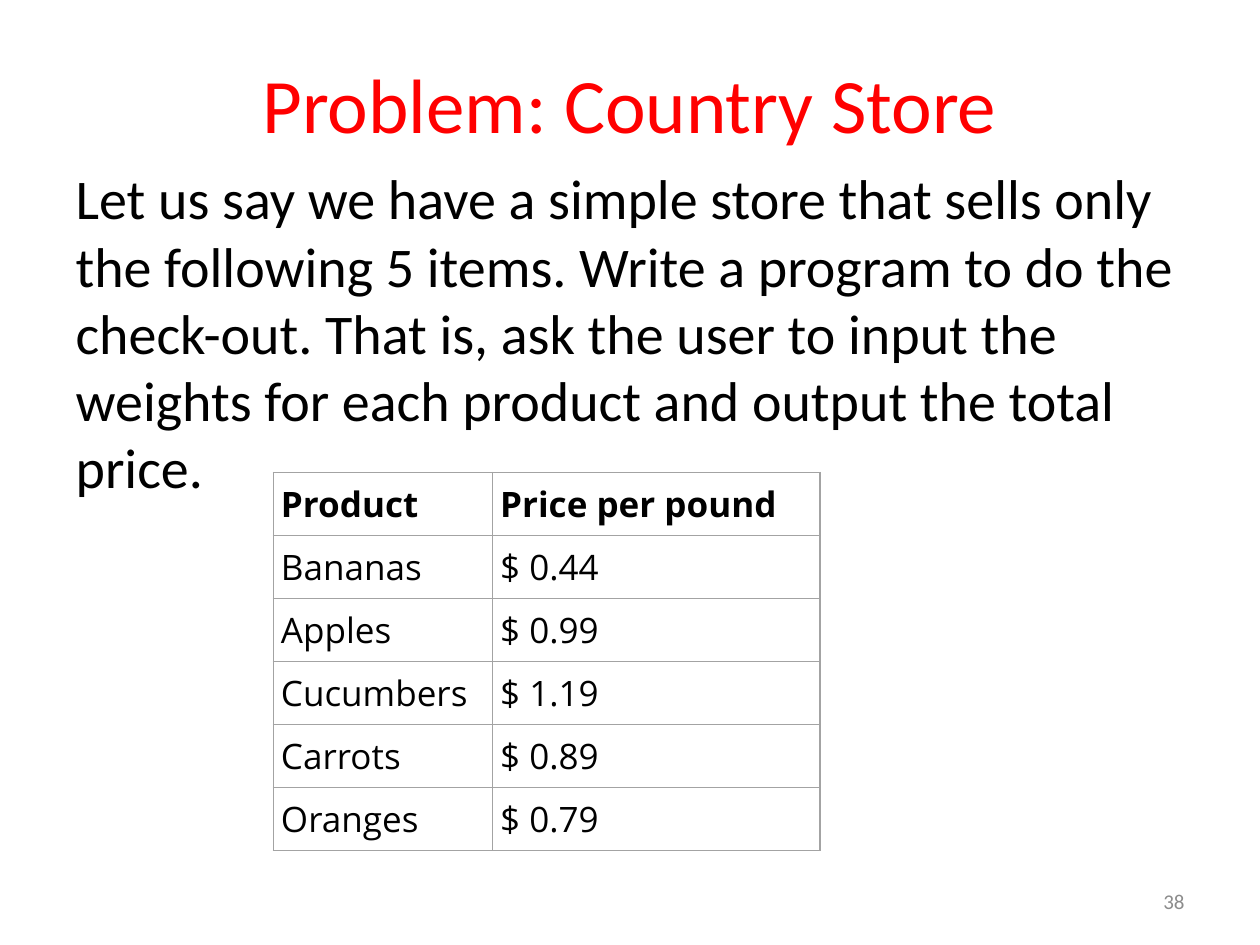
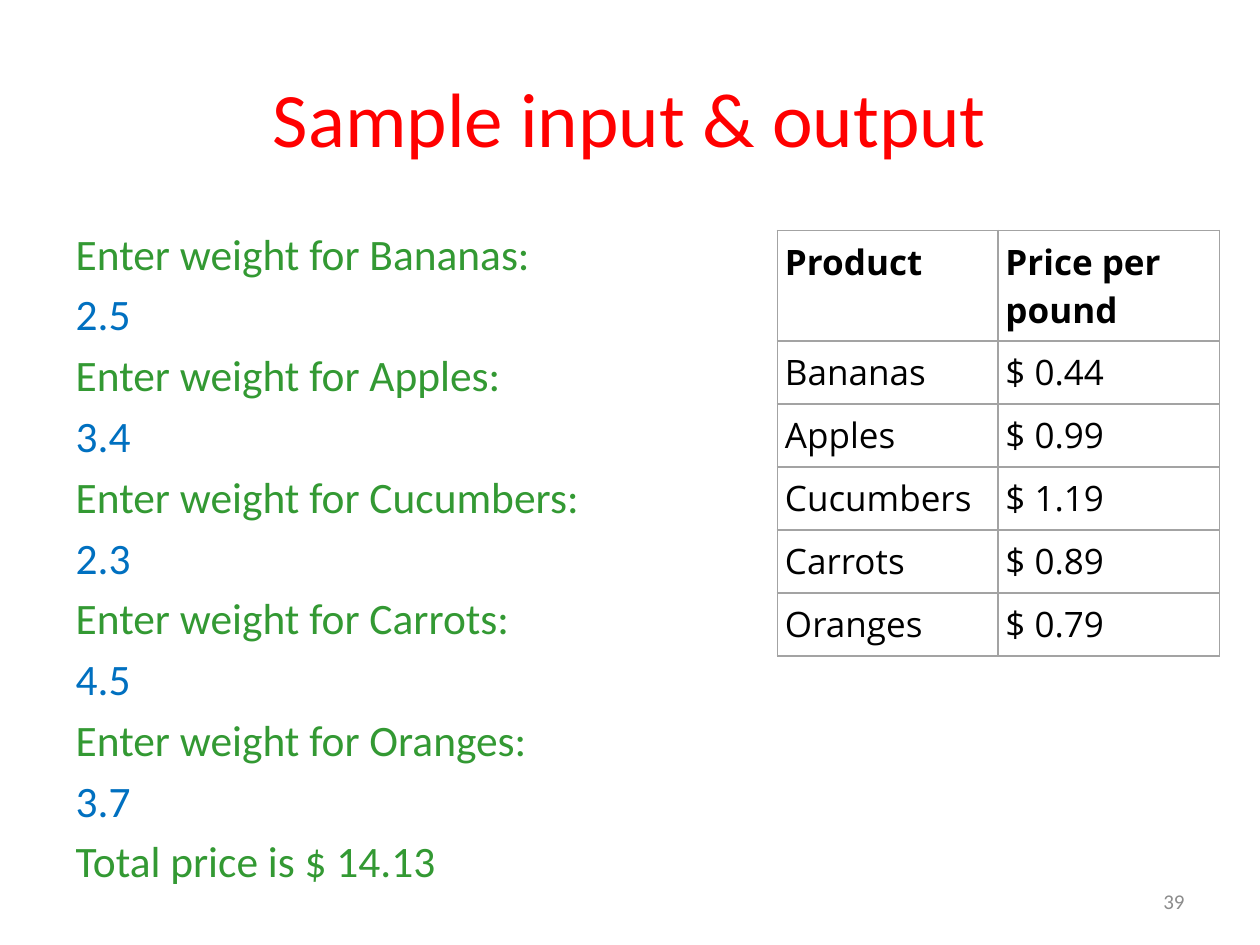
"""Two slides of a programming lesson: the country store problem and its sample run."""
from dataclasses import dataclass

from lxml import etree
from pptx import Presentation
from pptx.dml.color import RGBColor
from pptx.enum.text import MSO_ANCHOR, MSO_AUTO_SIZE, PP_ALIGN
from pptx.oxml.ns import qn
from pptx.util import Inches, Pt

CENTER, LEFT, RIGHT = PP_ALIGN.CENTER, PP_ALIGN.LEFT, PP_ALIGN.RIGHT
TOP, MIDDLE = MSO_ANCHOR.TOP, MSO_ANCHOR.MIDDLE
NO_FIT = MSO_AUTO_SIZE.NONE
TITLE_AND_CONTENT = 1


@dataclass(frozen=True)
class Theme:
    """Colours, fonts and type sizes of the deck."""
    title: str = "FF0000"
    text: str = "000000"
    prompt: str = "339933"
    answer: str = "0070C0"
    number: str = "8C8C8C"
    border: str = "A3A3A3"
    font: str = "Calibri"
    table_font: str = "Open Sans"
    title_size: float = 44
    body_size: float = 32
    sample_size: float = 24.8
    table_size: float = 20
    number_size: float = 12


THEME = Theme()
WIDTH, HEIGHT = 10, 7.5
MARGIN = 0.5
CONTENT_WIDTH = WIDTH - 2 * MARGIN
NUMBER_BOX = (7.17, 6.95, 2.33, 0.4)
ROW_HEIGHT = 0.5
CELL_INSET = 0.06
PRICES = {"Bananas": 0.44, "Apples": 0.99, "Cucumbers": 1.19,
          "Carrots": 0.89, "Oranges": 0.79}
WEIGHTS = (2.5, 3.4, 2.3, 4.5, 3.7)


def place(s, box):
    """Move a shape to a box given in inches."""
    s.left, s.top, s.width, s.height = map(Inches, box)


def add_run(p, text, size, color, font=THEME.font, bold=False):
    """Append one formatted run to a paragraph."""
    r = p.add_run()
    r.text = text
    r.font.name, r.font.size, r.font.bold = font, Pt(size), bold
    r.font.color.rgb = RGBColor.from_string(color)


def write_lines(s, lines, size, align=LEFT, anchor=TOP):
    """Fill a shape with (text, colour) lines, one plain paragraph each."""
    tf = s.text_frame
    tf.word_wrap, tf.auto_size, tf.vertical_anchor = True, NO_FIT, anchor
    for i, (text, color) in enumerate(lines):
        p = tf.add_paragraph() if i else tf.paragraphs[0]
        p.alignment = align
        pPr = p._p.get_or_add_pPr()
        pPr.set("marL", "0")
        pPr.set("indent", "0")
        etree.SubElement(pPr, qn("a:buNone"))
        add_run(p, text, size, color)


def add_page(prs, number, title, title_box, lines, body_size, body_box):
    """Add a slide with title, body and slide number."""
    slide = prs.slides.add_slide(prs.slide_layouts[TITLE_AND_CONTENT])
    heading, body = slide.placeholders
    place(heading, title_box)
    write_lines(heading, [(title, THEME.title)], THEME.title_size, CENTER, MIDDLE)
    place(body, body_box)
    write_lines(body, lines, body_size)
    footer = slide.shapes.add_textbox(*map(Inches, NUMBER_BOX))
    write_lines(footer, [(str(number), THEME.number)], THEME.number_size, RIGHT, MIDDLE)
    return slide


def set_borders(cell):
    """Draw a thin line on all four sides of a cell."""
    tcPr = cell._tc.get_or_add_tcPr()
    for i, side in enumerate(("lnL", "lnR", "lnT", "lnB")):
        ln = etree.Element(qn(f"a:{side}"), w=str(Pt(1)))
        fill = etree.SubElement(ln, qn("a:solidFill"))
        etree.SubElement(fill, qn("a:srgbClr"), val=THEME.border)
        tcPr.insert(i, ln)


def add_price_table(slide, left, top, col_widths):
    """Add the price list at a corner, with the given column widths."""
    rows = [("Product", "Price per pound")]
    rows += [(name, f"$ {price:.2f}") for name, price in PRICES.items()]
    box = (left, top, sum(col_widths), ROW_HEIGHT * len(rows))
    table = slide.shapes.add_table(len(rows), len(col_widths), *map(Inches, box)).table
    table.first_row = table.horz_banding = False
    for col, width in zip(table.columns, col_widths):
        col.width = Inches(width)
    for i, row in enumerate(rows):
        for j, text in enumerate(row):
            cell = table.cell(i, j)
            cell.margin_left = cell.margin_right = Inches(CELL_INSET)
            cell.margin_top = cell.margin_bottom = Inches(CELL_INSET)
            cell.fill.background()
            set_borders(cell)
            add_run(cell.text_frame.paragraphs[0], text, THEME.table_size,
                    THEME.text, THEME.table_font, bold=i == 0)


def problem_slide(prs):
    """State the problem above the price list."""
    task = ("Let us say we have a simple store that sells only the following 5 items. "
            "Write a program to do the check-out. That is, ask the user to input the "
            "weights for each product and output the total price.")
    slide = add_page(prs, 38, "Problem: Country Store",
                     (MARGIN, 0.3, CONTENT_WIDTH, 1.03),
                     [(task, THEME.text)], THEME.body_size,
                     (MARGIN, 1.25, 9.17, 5.75))
    add_price_table(slide, 2.17, HEIGHT / 2, (1.74, 2.6))


def sample_slide(prs):
    """Show a sample run beside the price list."""
    lines = []
    for name, weight in zip(PRICES, WEIGHTS):
        lines += [(f"Enter weight for {name}:", THEME.prompt),
                  (str(weight), THEME.answer)]
    lines.append(("Total price is $ 14.13", THEME.prompt))
    slide = add_page(prs, 39, "Sample input & output",
                     (MARGIN, 0.3, CONTENT_WIDTH, 1.25),
                     lines, THEME.sample_size,
                     (MARGIN, 1.75, CONTENT_WIDTH, 4.95))
    add_price_table(slide, 6.17, 1.83, (1.75, 1.76))


prs = Presentation()
prs.slide_width, prs.slide_height = Inches(WIDTH), Inches(HEIGHT)
problem_slide(prs)
sample_slide(prs)
prs.save("out.pptx")
